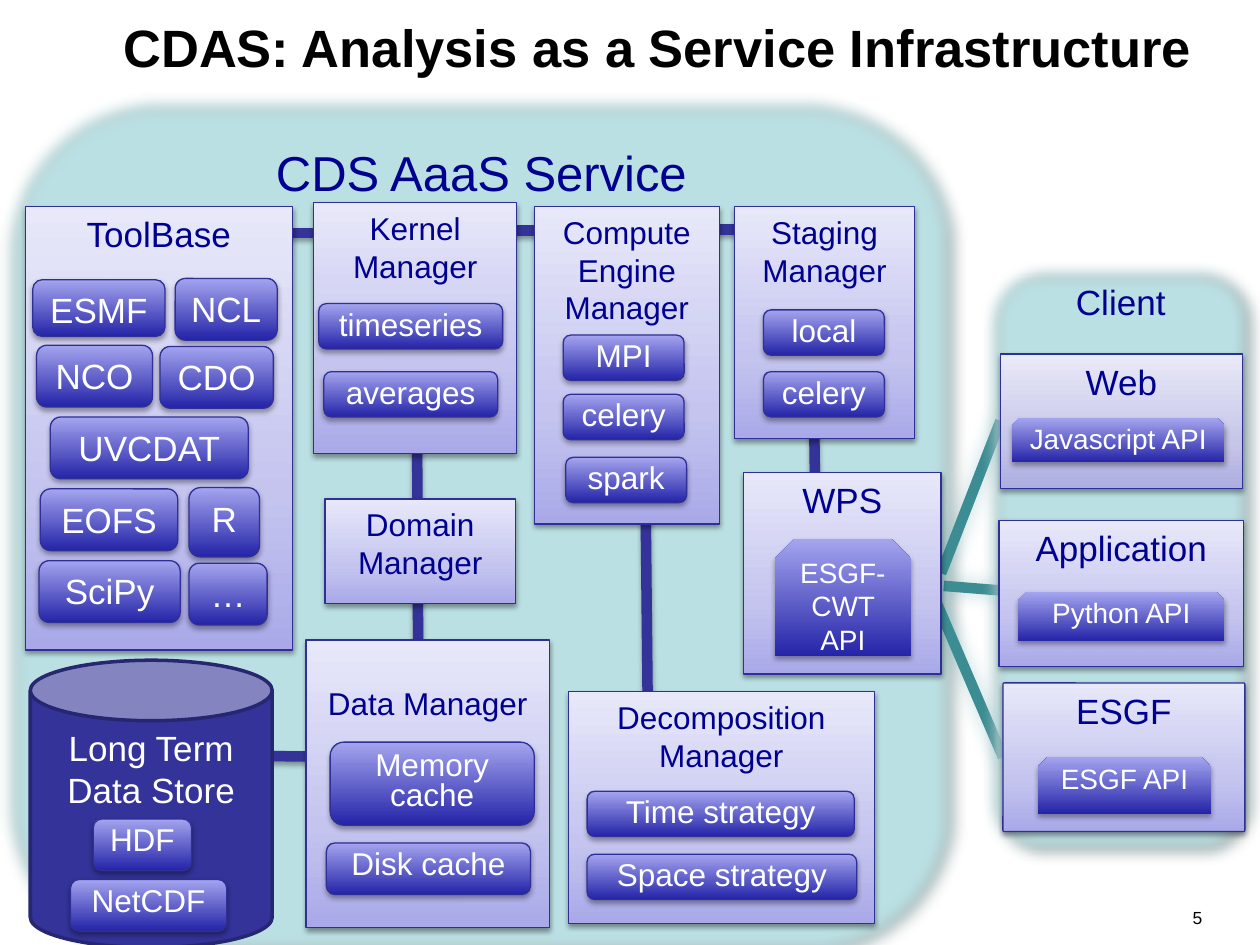
from lxml import etree
from pptx import Presentation
from pptx.dml.color import RGBColor
from pptx.enum.shapes import MSO_CONNECTOR, MSO_SHAPE
from pptx.enum.text import MSO_ANCHOR, PP_ALIGN
from pptx.oxml.ns import qn
from pptx.util import Inches, Pt

RECT = MSO_SHAPE.RECTANGLE
ROUND = MSO_SHAPE.ROUNDED_RECTANGLE
SNIP = MSO_SHAPE.SNIP_2_SAME_RECTANGLE
CAN = MSO_SHAPE.CAN
STRAIGHT = MSO_CONNECTOR.STRAIGHT
TOP, MIDDLE = MSO_ANCHOR.TOP, MSO_ANCHOR.MIDDLE
CENTER, RIGHT = PP_ALIGN.CENTER, PP_ALIGN.RIGHT

BLACK = RGBColor(0x00, 0x00, 0x00)
WHITE = RGBColor(0xFF, 0xFF, 0xFF)
NAVY = RGBColor(0x00, 0x00, 0x90)
PALE_TEAL = RGBColor(0xBB, 0xE0, 0xE3)
TEAL = RGBColor(0x3C, 0x8C, 0x93)
TEAL_SHADOW = RGBColor(0x45, 0x97, 0xA0)
INDIGO = RGBColor(0x33, 0x33, 0x99)
DARK_INDIGO = RGBColor(0x26, 0x26, 0x71)
OUTLINE = RGBColor(0x2F, 0x2F, 0x98)

# Gradient stops from bottom to top: (percent, colour)
BOX_STOPS = [(0, RGBColor(0xA9, 0xA9, 0xE9)), (35, RGBColor(0xC4, 0xC4, 0xEF)),
             (100, RGBColor(0xE8, 0xE8, 0xFA))]
WEB_STOPS = [(0, RGBColor(0xAD, 0xAD, 0xE1)), (35, RGBColor(0xC6, 0xC6, 0xE9)),
             (100, RGBColor(0xE9, 0xE9, 0xF7))]
CHIP_STOPS = [(0, RGBColor(0x24, 0x24, 0xA8)), (100, RGBColor(0xA4, 0xA4, 0xEF))]

# Shadows: colour, opacity percent, blur, distance, angle
PANEL_SHADOW = (BLACK, 43, 4, 3, 45)
BOX_SHADOW = (BLACK, 38, 3.1, 1.6, 90)
CHIP_SHADOW = (BLACK, 35, 3.1, 1.8, 90)
LINK_SHADOW = (TEAL_SHADOW, 35, 10.8, 0, 90)


def sub(parent, tag, **attrs):
    return etree.SubElement(parent, qn(tag), {k: str(v) for k, v in attrs.items()})


def add_shadow(effects, color, opacity, blur, dist, angle):
    shadow = sub(effects, "a:outerShdw", blurRad=Pt(blur), dist=Pt(dist),
                 dir=angle * 60000, rotWithShape=0)
    sub(sub(shadow, "a:srgbClr", val=color), "a:alpha", val=opacity * 1000)


def set_gradient(sp, stops):
    sp.fill.gradient()
    sp.fill.gradient_angle = 90
    gs_list = next(sp._element.spPr.iter(qn("a:gsLst")))
    for gs in list(gs_list):
        gs_list.remove(gs)
    for pos, color in stops:
        sub(sub(gs_list, "a:gs", pos=pos * 1000), "a:srgbClr", val=color)


def write(sp, text, size=18, color=NAVY, bold=False, align=CENTER, anchor=TOP,
          spacing=None, side=0.1, top=0.05):
    tf = sp.text_frame
    tf.word_wrap = True
    tf.vertical_anchor = anchor
    tf.margin_left = tf.margin_right = Inches(side)
    tf.margin_top, tf.margin_bottom = Inches(top), Inches(0.05)
    for i, line in enumerate(text.split("\n")):
        p = tf.add_paragraph() if i else tf.paragraphs[0]
        p.alignment = align
        if spacing:
            p.line_spacing = spacing
        r = p.add_run()
        r.text = line
        r.font.name, r.font.size, r.font.bold = "Arial", Pt(size), bold
        r.font.color.rgb = color


class Diagram:
    def __init__(self, slide):
        self.shapes = slide.shapes

    def label(self, text, at, **fmt):
        write(self.shapes.add_textbox(*map(Inches, at)), text, **fmt)

    def shape(self, kind, at, fill, line, width=0.75, shadow=None, adj=None):
        """Draw a preset; fill is one colour or a list of gradient stops."""
        sp = self.shapes.add_shape(kind, *map(Inches, at))
        if adj is not None:
            sp.adjustments[0] = adj
        if isinstance(fill, list):
            set_gradient(sp, fill)
        else:
            sp.fill.solid()
            sp.fill.fore_color.rgb = fill
        if line is None:
            sp.line.fill.background()
        else:
            sp.line.color.rgb = line
            sp.line.width = Pt(width)
        sp.shadow.inherit = False
        if shadow:
            add_shadow(sp._element.spPr.find(qn("a:effectLst")), *shadow)
        return sp

    def panel(self, text, at, size):
        """Large background area with blurred edges."""
        sp = self.shape(ROUND, at, PALE_TEAL, BLACK, shadow=PANEL_SHADOW)
        sub(sp._element.spPr.find(qn("a:effectLst")), "a:softEdge", rad=Inches(0.12))
        write(sp, text, size=size)

    def box(self, text, at, kind=RECT, stops=BOX_STOPS, adj=None, **fmt):
        write(self.shape(kind, at, stops, OUTLINE, shadow=BOX_SHADOW, adj=adj), text, **fmt)

    def chip(self, text, at, size=18, spacing=0.8, adj=None):
        sp = self.shape(ROUND, at, CHIP_STOPS, OUTLINE, shadow=CHIP_SHADOW, adj=adj)
        write(sp, text, size=size, color=WHITE, spacing=spacing, side=0.08)

    def api(self, text, at, spacing=0.8):
        sp = self.shape(SNIP, at, CHIP_STOPS, None, shadow=CHIP_SHADOW)
        write(sp, text, size=16, color=WHITE, spacing=spacing, side=0.08)

    def store(self, text, at):
        write(self.shape(CAN, at, INDIGO, DARK_INDIGO, 2), text, size=20, color=WHITE)

    def link(self, ends, color=INDIGO, shadow=CHIP_SHADOW):
        c = self.shapes.add_connector(STRAIGHT, *map(Inches, ends))
        c.line.color.rgb = color
        c.line.width = Pt(6)
        add_shadow(sub(c._element.spPr, "a:effectLst"), *shadow)


TOOLS = [("UVCDAT", (0.4, 3.31, 1.57, 0.49)), ("NCO", (0.29, 2.74, 0.92, 0.49)),
         ("ESMF", (0.26, 2.22, 1.05, 0.45)), ("NCL", (1.39, 2.21, 0.81, 0.49)),
         ("R", (1.5, 3.87, 0.56, 0.55)), ("SciPy", (0.31, 4.45, 1.12, 0.49)),
         ("EOFS", (0.32, 3.88, 1.09, 0.49)), ("…", (1.5, 4.47, 0.62, 0.49)),
         ("CDO", (1.27, 2.75, 0.9, 0.49))]

# Manager box: text, place, top inset, chips inside
MANAGERS = [
    ("Staging Manager", (5.83, 1.64, 1.43, 1.84), 0.05,
     [("local", (6.06, 2.46, 0.96, 0.36)), ("celery", (6.06, 2.95, 0.96, 0.36))]),
    ("Compute Engine Manager", (4.24, 1.64, 1.47, 2.52), 0.05,
     [("MPI", (4.47, 2.66, 0.96, 0.36)), ("celery", (4.47, 3.13, 0.96, 0.36)),
      ("spark", (4.49, 3.63, 0.96, 0.36))]),
    ("Kernel Manager", (2.49, 1.61, 1.61, 1.99), 0.05,
     [("timeseries", (2.53, 2.41, 1.46, 0.36)), ("averages", (2.57, 2.95, 1.38, 0.36))]),
    ("Data Manager", (2.43, 5.08, 1.93, 2.28), 0.35,
     [("Memory cache", (2.62, 5.89, 1.62, 0.66)), ("Disk cache", (2.59, 6.69, 1.62, 0.41))]),
    ("Domain Manager", (2.58, 3.96, 1.51, 0.83), 0.05, []),
    ("Decomposition\nManager", (4.51, 5.49, 2.43, 1.84), 0.05,
     [("Time strategy", (4.66, 6.28, 2.12, 0.36)),
      ("Space strategy", (4.66, 6.78, 2.14, 0.36))]),
]

# Client box: text, place, stops, corner, API text, API place
CLIENTS = [
    ("Web", (7.94, 2.81, 1.92, 1.07), WEB_STOPS, 0,
     "Javascript API", (8.03, 3.32, 1.69, 0.35)),
    ("Application", (7.93, 4.13, 1.94, 1.16), BOX_STOPS, 0,
     "Python API", (8.08, 4.7, 1.64, 0.39)),
    ("ESGF", (7.96, 5.42, 1.92, 1.18), BOX_STOPS, 0.01,
     "ESGF API", (8.24, 6.01, 1.37, 0.45)),
]

CLIENT_LINKS = [(7.96, 6.01, 7.42, 4.75), (8.24, 4.71, 7.49, 4.65), (7.94, 3.34, 7.47, 4.55)]
SERVICE_LINKS = [(5.14, 5.53, 5.12, 3.58), (2.89, 6.01, 2.11, 6), (3.32, 5.35, 3.31, 3.4),
                 (2.51, 1.85, 2.28, 1.85), (6.47, 3.92, 6.46, 3.22),
                 (5.86, 1.82, 5.62, 1.82), (4.29, 1.83, 4.06, 1.83)]


def main():
    prs = Presentation()
    prs.slide_width, prs.slide_height = Inches(10), Inches(7.5)
    d = Diagram(prs.slides.add_slide(prs.slide_layouts[6]))

    d.label("5", (9.24, 7.15, 0.4, 0.26), size=10, color=BLACK, align=RIGHT)
    d.label("CDAS: Analysis as a Service Infrastructure", (0.77, -0.04, 8.9, 0.9),
            size=30, color=BLACK, bold=True, anchor=MIDDLE, spacing=0.85)

    d.panel("CDS AaaS Service", (0, 0.74, 7.64, 6.92), 28)
    for ends in CLIENT_LINKS:
        d.link(ends, TEAL, LINK_SHADOW)
    for ends in SERVICE_LINKS:
        d.link(ends)

    d.box("WPS", (5.9, 3.75, 1.57, 1.6), size=20)
    d.api("ESGF-CWT API", (6.15, 4.28, 1.08, 0.93), spacing=None)
    d.box("ToolBase", (0.2, 1.64, 2.12, 3.52), size=20)
    for text, at in TOOLS:
        d.chip(text, at, size=20, spacing=None)
    for text, at, top, chips in MANAGERS:
        d.box(text, at, top=top)
        for chip_text, chip_at in chips:
            d.chip(chip_text, chip_at)
    d.store("Long Term Data Store", (0.24, 5.24, 1.92, 2.28))
    d.chip("NetCDF", (0.56, 6.98, 1.24, 0.41))
    d.chip("HDF", (0.74, 6.5, 0.78, 0.41))

    d.panel("Client", (7.79, 2.07, 2.21, 4.76), 20)
    for text, at, stops, corner, api_text, api_at in CLIENTS:
        d.box(text, at, kind=ROUND, stops=stops, adj=corner, size=20)
        d.api(api_text, api_at)

    prs.save("out.pptx")


if __name__ == "__main__":
    main()
